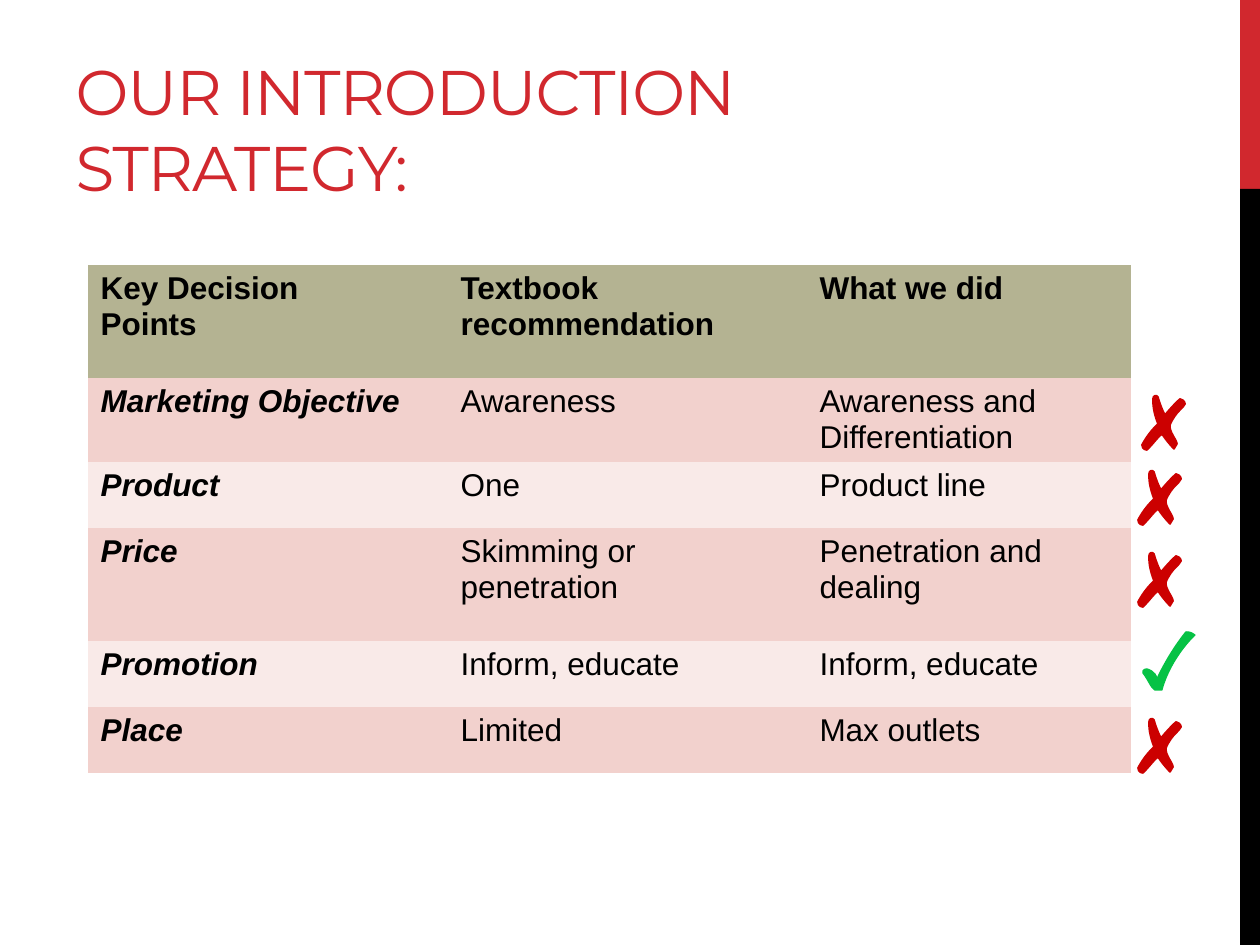
"""Build the slide that compares the introduction strategy with the textbook."""
from dataclasses import dataclass

from lxml.etree import SubElement
from pptx import Presentation
from pptx.dml.color import RGBColor
from pptx.enum.shapes import MSO_SHAPE
from pptx.enum.text import MSO_ANCHOR, MSO_AUTO_SIZE, PP_ALIGN
from pptx.oxml.ns import qn
from pptx.util import Pt

SCALE = 914400 / 126
NO_STYLE = "{2D5ABB26-0587-4C30-8999-92F81FD0307C}"


@dataclass(frozen=True)
class Theme:
    accent: str = "D1282E"
    black: str = "000000"
    header: str = "B4B392"
    bands: tuple = ("F2D1CD", "F9EAE8")
    cross: str = "CC0000"
    check: str = "06C245"
    title_font: str = "Montserrat"
    body_font: str = "Arial"
    title_size: int = 36
    body_size: int = 18


THEME = Theme()

ROWS = [
    ("Key Decision Points", "Textbook recommendation", "What we did"),
    ("Marketing Objective", "Awareness", "Awareness and Differentiation"),
    ("Product", "One", "Product line"),
    ("Price", "Skimming or penetration", "Penetration and dealing"),
    ("Promotion", "Inform, educate", "Inform, educate"),
    ("Place", "Limited", "Max outlets"),
]
COL_WIDTHS = (360, 359, 324)
ROW_HEIGHTS = (113, 84, 66, 113, 66, 66)

CROSS = ((0, 50), [
    ((0, 50), (6, 38), (16, 29)), ((11, 16), (11, 9), (11, 4)),
    ((11, 0), (15, 0), (16, 2)), ((16, 2), (19, 13), (23, 20)),
    ((33, 8), (38, 4), (38, 4)), ((43, 5), (43, 9), (43, 9)),
    ((42, 13), (34, 16), (28, 30)), ((27, 37), (35, 45), (35, 49)),
    ((34, 52), (34, 52), (32, 54)), ((32, 54), (25, 47), (20, 39)),
    ((15, 43), (13, 47), (5, 55)), ((5, 55), (0, 55), (0, 50)),
])
CHECK = ((1, 42), [
    ((6, 48), (9, 57), (13, 59)), ((16, 59), (20, 59), (20, 59)),
    ((29, 26), (53, 4), (53, 4)), ((48, 0), (44, 1), (44, 1)),
    ((44, 1), (28, 20), (15, 48)), ((14, 40), (5, 38), (5, 38)),
    ((5, 38), (0, 38), (1, 42)),
])
MARKS = [
    (CROSS, 1138, 718, THEME.cross, 1),
    (CROSS, 1138, 552, THEME.cross, 1),
    (CROSS, 1138, 470, THEME.cross, 1),
    (CHECK, 1142, 631, THEME.check, 0.75),
    (CROSS, 1142, 395, THEME.cross, 1),
]


def px(value):
    """Turn pixels into EMU."""
    return round(value * SCALE)


def rgb(value):
    """Turn a hex string into a colour."""
    return RGBColor.from_string(value)


def paint(sp, color, line_width=None):
    """Give a shape a flat fill and an outline of the same colour, or none."""
    sp.shadow.inherit = False
    sp.fill.solid()
    sp.fill.fore_color.rgb = rgb(color)
    if line_width is None:
        sp.line.fill.background()
    else:
        sp.line.color.rgb = rgb(color)
        sp.line.width = Pt(line_width)


def add_run(p, text, font, size, color, bold=False, italic=False):
    """Append a formatted run to a paragraph."""
    r = p.add_run()
    r.text = text
    r.font.name = font
    r.font.size = Pt(size)
    r.font.color.rgb = rgb(color)
    r.font.bold = bold
    r.font.italic = italic
    return r


def add_bar(s, x, y, w, h, color):
    """Add a plain rectangle."""
    sp = s.shapes.add_shape(MSO_SHAPE.RECTANGLE, px(x), px(y), px(w), px(h))
    paint(sp, color)


def set_title(s, text):
    """Place and fill the title placeholder."""
    sp = s.shapes.title
    sp.left, sp.top, sp.width, sp.height = px(63), px(21), px(798), px(189)
    tf = sp.text_frame
    tf.word_wrap = True
    tf.auto_size = MSO_AUTO_SIZE.NONE
    tf.vertical_anchor = MSO_ANCHOR.BOTTOM
    p = tf.paragraphs[0]
    p.alignment = PP_ALIGN.LEFT
    r = add_run(p, text, THEME.title_font, THEME.title_size, THEME.accent)
    r.font._element.set("spc", "-60")


def fill_cell(cell, text, color, bold, italic):
    """Colour a cell and write its text."""
    cell.fill.solid()
    cell.fill.fore_color.rgb = rgb(color)
    p = cell.text_frame.paragraphs[0]
    add_run(p, text, THEME.body_font, THEME.body_size, THEME.black, bold, italic)


def add_strategy_table(s, x, y):
    """Add the table with its header and alternating bands."""
    table = s.shapes.add_table(
        len(ROWS), len(COL_WIDTHS), px(x), px(y),
        px(sum(COL_WIDTHS)), px(sum(ROW_HEIGHTS))).table
    table._tbl.tblPr.find(qn("a:tableStyleId")).text = NO_STYLE
    for col, width in zip(table.columns, COL_WIDTHS):
        col.width = px(width)
    for i, (row, height) in enumerate(zip(table.rows, ROW_HEIGHTS)):
        row.height = px(height)
        color = THEME.bands[(i - 1) % 2] if i else THEME.header
        for j, cell in enumerate(row.cells):
            fill_cell(cell, ROWS[i][j], color, i == 0 or j == 0, i > 0 and j == 0)
    table.cell(0, 0).margin_right = px(80)


def add_mark(s, outline, x, y, color, line_width):
    """Add a curved mark with its corner at the given place."""
    start, curves = outline
    builder = s.shapes.build_freeform(px(x + start[0]), px(y + start[1]))
    builder.add_line_segments(
        [(px(x + end[0]), px(y + end[1])) for _, _, end in curves], close=True)
    sp = builder.convert_to_shape()
    segments = list(sp._element.iter(qn("a:lnTo")))
    for segment, curve in zip(segments, curves):
        segment.tag = qn("a:cubicBezTo")
        for pt in list(segment):
            segment.remove(pt)
        for dx, dy in curve:
            SubElement(segment, qn("a:pt"), x=str(px(x + dx) - sp.left),
                       y=str(px(y + dy) - sp.top))
    paint(sp, color, line_width)


def main():
    """Build and save the slide."""
    prs = Presentation()
    prs.slide_width, prs.slide_height = px(1260), px(945)
    s = prs.slides.add_slide(prs.slide_layouts[5])
    add_bar(s, 1240, 0, 20, 189, THEME.accent)
    add_bar(s, 1240, 189, 20, 756, THEME.black)
    set_title(s, "OUR INTRODUCTION STRATEGY:")
    add_strategy_table(s, 88, 265)
    for mark in MARKS:
        add_mark(s, *mark)
    prs.save("out.pptx")


if __name__ == "__main__":
    main()
